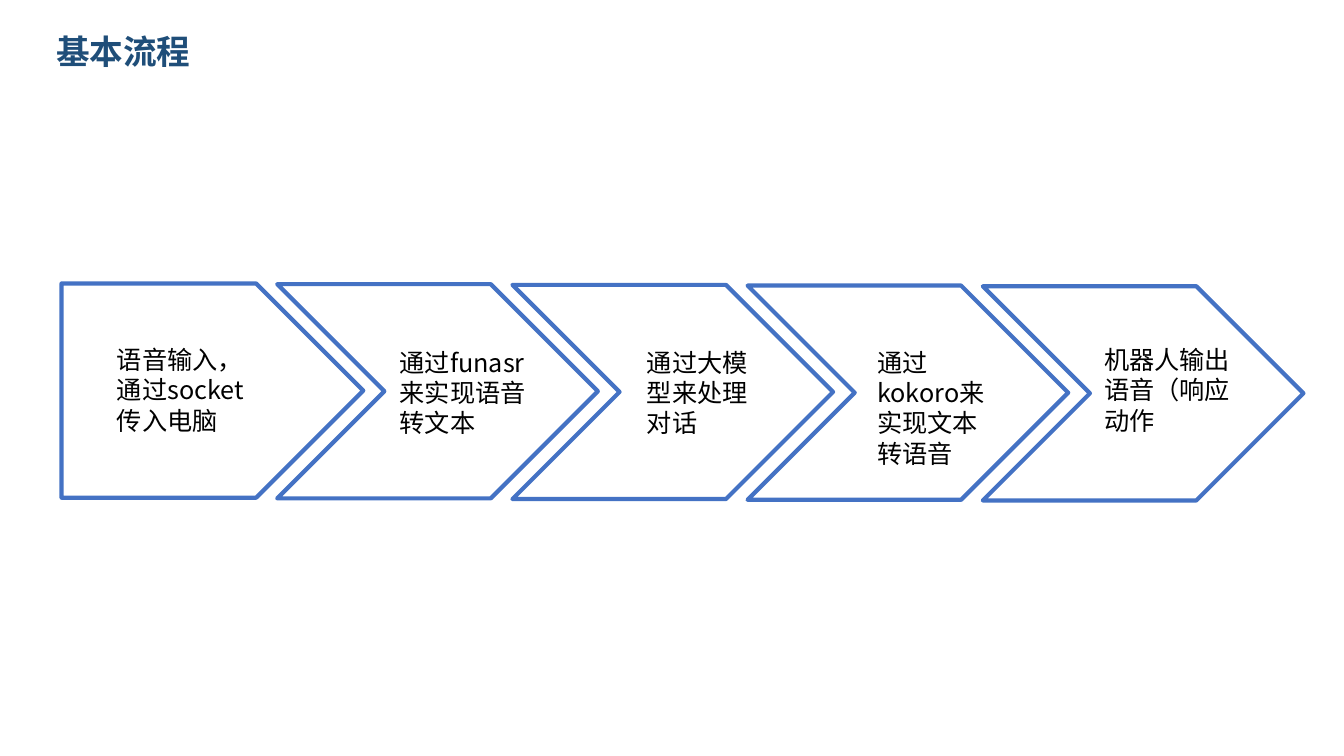
import pptx
import pptx.util
import pptx.dml.color
import pptx.enum.shapes
import pptx.enum.text
import pptx.oxml
import pptx.oxml.ns

Pt = pptx.util.Pt
SHAPES = pptx.enum.shapes.MSO_SHAPE


class FlowSlide:
    colours = {"outline": "4472C4", "title": "1F4E79", "body": "000000"}
    typeface = "Noto Sans CJK SC"

    def __init__(self, slide):
        self.slide = slide

    def colour(self, name):
        return pptx.dml.color.RGBColor.from_string(self.colours[name])

    def step(self, preset, left, top, width, height):
        arrow = self.slide.shapes.add_shape(
            preset, Pt(left), Pt(top), Pt(width), Pt(height))
        arrow.shadow.inherit = False
        arrow.fill.background()
        arrow.line.color.rgb = self.colour("outline")
        arrow.line.width = Pt(3)

    def text(self, wording, left, top, width, height, size=18, colour="body", bold=False):
        box = self.slide.shapes.add_textbox(Pt(left), Pt(top), Pt(width), Pt(height))
        frame = box.text_frame
        frame.word_wrap = True
        frame.auto_size = pptx.enum.text.MSO_AUTO_SIZE.SHAPE_TO_FIT_TEXT
        paragraph = frame.paragraphs[0]
        paragraph.text = wording
        font = paragraph.font
        font.size = Pt(size)
        font.bold = bold
        font.color.rgb = self.colour(colour)
        font.name = self.typeface
        east_asian = pptx.oxml.parse_xml(
            f'<a:ea {pptx.oxml.ns.nsdecls("a")} typeface="{self.typeface}"/>')
        latin = paragraph._p.find(".//" + pptx.oxml.ns.qn("a:latin"))
        latin.addnext(east_asian)


def main():
    deck = pptx.Presentation()
    deck.slide_width = Pt(960)
    deck.slide_height = Pt(540)
    flow = FlowSlide(deck.slides.add_slide(deck.slide_layouts[6]))

    first_top, drop, step_height = 202.5, 0.5, 153
    flow.step(SHAPES.PENTAGON, 44, first_top, 215.5, step_height)
    for index in range(4):
        flow.step(SHAPES.CHEVRON, 198 + 168 * index,
                  first_top + drop * (index + 1), 229, step_height)

    captions = [
        ("语音输入，通过socket传入电脑", 76.5, 242.5, 108, 73),
        ("通过funasr来实现语音转文本", 278.5, 244.5, 108, 73),
        ("通过大模型来处理对话", 455, 244.5, 99.5, 73),
        ("通过kokoro来实现文本转语音", 619.5, 244.5, 103.5, 94.5),
        ("机器人输出语音（响应动作", 781.5, 242.5, 109.5, 73),
    ]
    for caption in captions:
        flow.text(*caption)
    flow.text("基本流程", 33, 18.5, 215.5, 36, size=24, colour="title", bold=True)

    deck.save("out.pptx")


if __name__ == "__main__":
    main()
